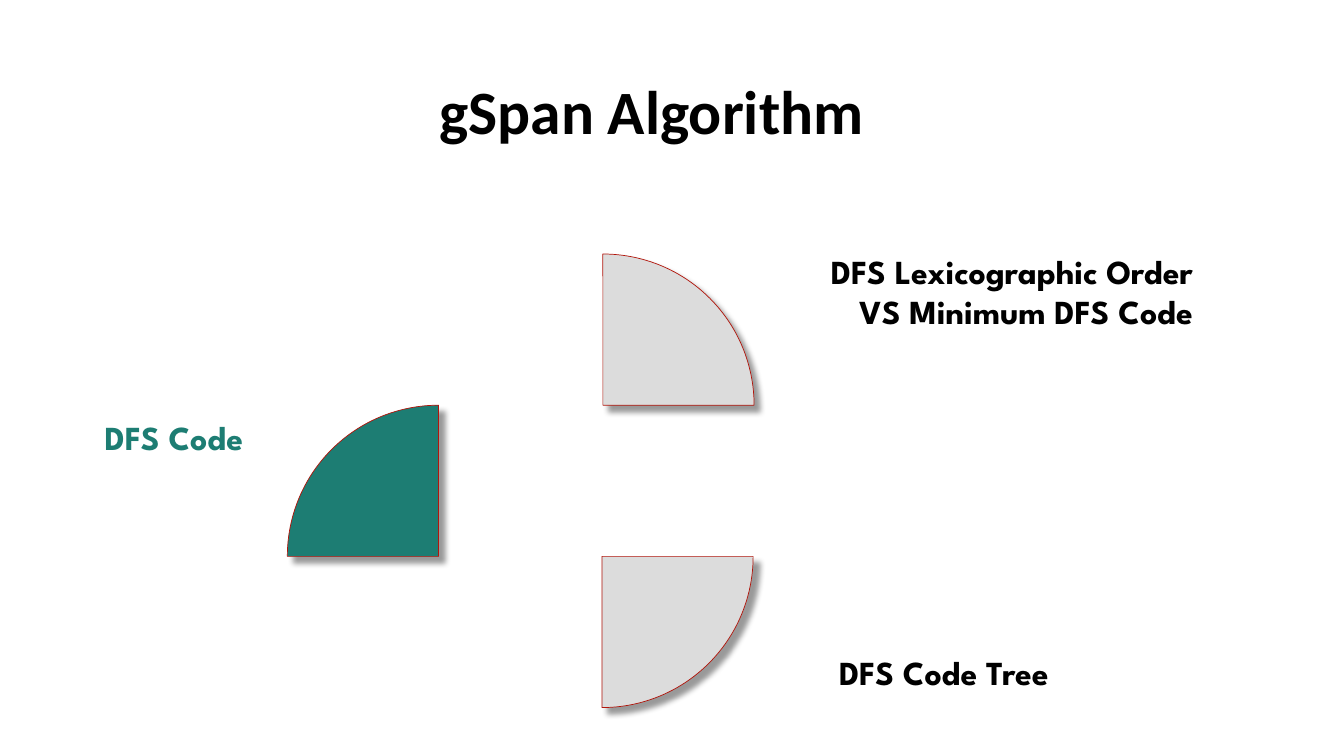
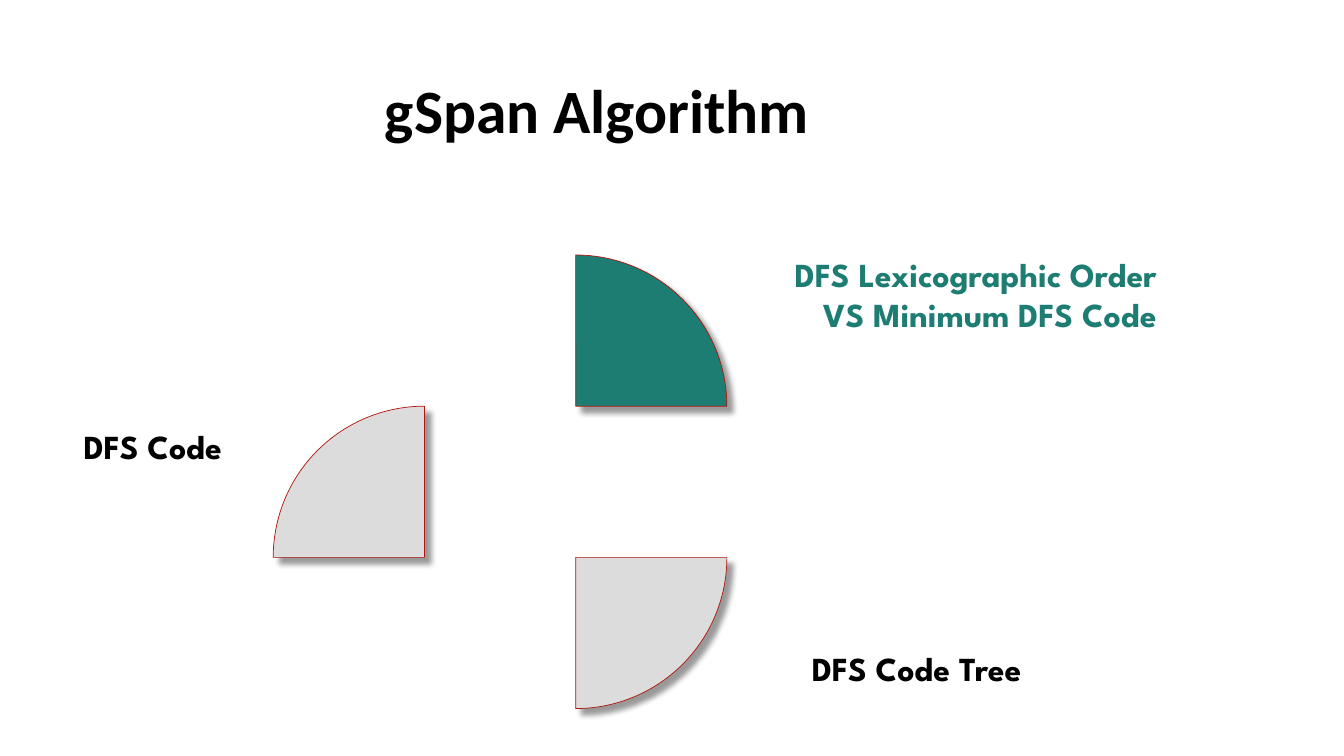
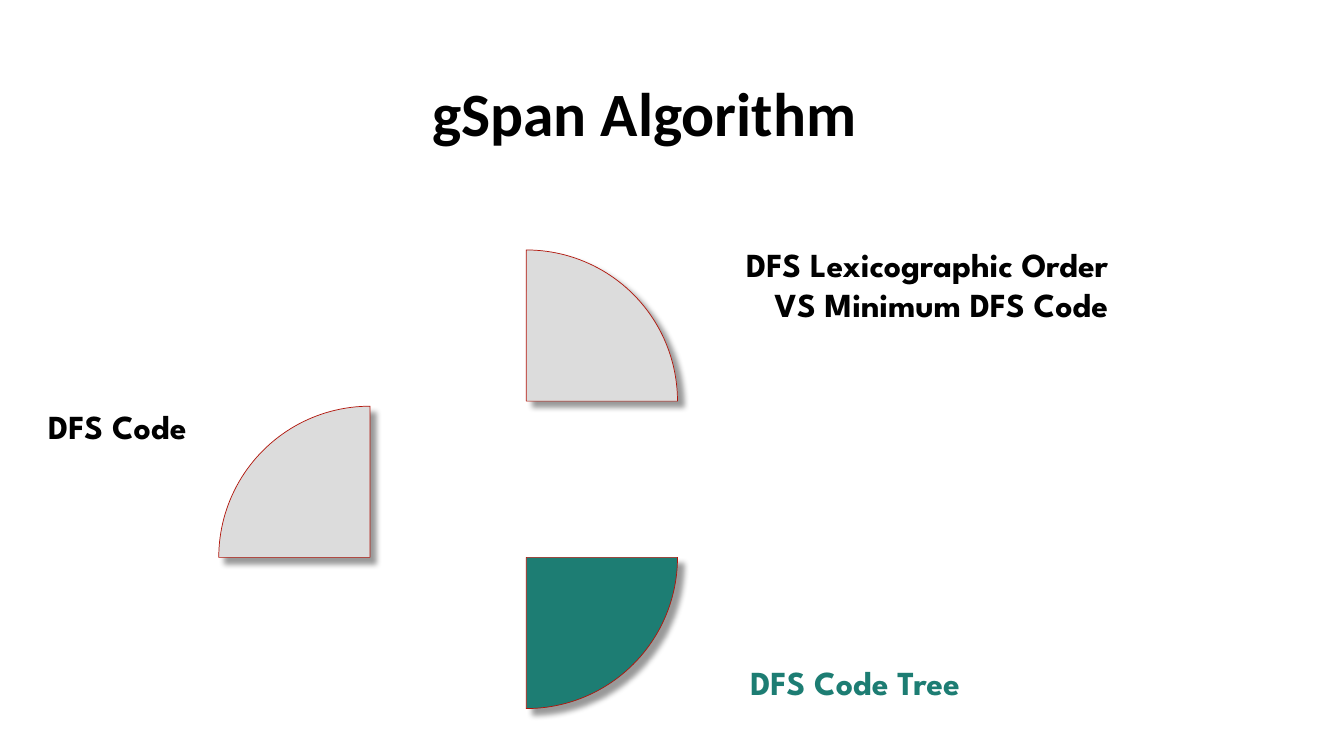
"""Build three gSpan Algorithm agenda slides, each marking one topic."""
from dataclasses import dataclass

from lxml.etree import SubElement
from pptx import Presentation
from pptx.dml.color import RGBColor
from pptx.enum.shapes import MSO_SHAPE
from pptx.enum.text import MSO_ANCHOR, MSO_AUTO_SIZE, PP_ALIGN
from pptx.oxml.ns import qn
from pptx.slide import Slide
from pptx.text.text import TextFrame
from pptx.util import Inches, Pt

HUES = {"mark": "1D7D73", "pie": "DCDCDC", "edge": "B1150B", "text": "000000"}
Point = tuple[float, float]
PIE = 3
TITLE = "gSpan Algorithm"
TITLE_SIZE = (4.45, 0.98)


@dataclass(frozen=True)
class Topic:
    text: str
    size: Point
    align: PP_ALIGN
    start: int
    end: int


@dataclass(frozen=True)
class Page:
    title: Point
    pies: tuple[Point, ...]
    labels: tuple[Point, ...]


TOPICS = (
    Topic("DFS Code", (1.78, 0.5), PP_ALIGN.LEFT, 180, 270),
    Topic("DFS Lexicographic Order\nVS Minimum DFS Code", (4.23, 0.91), PP_ALIGN.RIGHT, 270, 0),
    Topic("DFS Code Tree", (2.56, 0.5), PP_ALIGN.RIGHT, 0, 90),
)

PAGES = (
    Page((4.24, 0.45), ((2.85, 4.02), (4.48, 2.52), (4.47, 4.02)),
         ((0.94, 4.09), (7.7, 2.44), (7.94, 6.42))),
    Page((3.7, 0.44), ((2.71, 4.03), (4.21, 2.53), (4.21, 4.03)),
         ((0.73, 4.18), (7.34, 2.47), (7.67, 6.38))),
    Page((4.17, 0.47), ((2.17, 4.03), (3.72, 2.48), (3.72, 4.03)),
         ((0.38, 3.98), (6.86, 2.37), (7.06, 6.52))),
)


def color(name: str) -> RGBColor:
    return RGBColor.from_string(HUES[name])


def write(frame: TextFrame, text: str, font: str, size: int, hue: str, align: PP_ALIGN) -> None:
    frame.text = text
    frame.auto_size = MSO_AUTO_SIZE.SHAPE_TO_FIT_TEXT
    frame.vertical_anchor = MSO_ANCHOR.TOP
    for para in frame.paragraphs:
        para.alignment = align
        para.font.name = font
        para.font.size = Pt(size)
        para.font.bold = True
        para.font.color.rgb = color(hue)


def add_title(slide: Slide, spot: Point) -> None:
    title = slide.shapes.title
    title.left, title.top = map(Inches, spot)
    title.width, title.height = map(Inches, TITLE_SIZE)
    frame = title.text_frame
    write(frame, TITLE, "Calibri", 44, "text", PP_ALIGN.CENTER)
    frame.word_wrap = False
    para = frame.paragraphs[0]
    para.line_spacing = 1.3
    para.space_before = Pt(6)


def add_pie(slide: Slide, topic: Topic, spot: Point, hue: str) -> None:
    pie = slide.shapes.add_shape(MSO_SHAPE.PIE, *map(Inches, (*spot, PIE, PIE)))
    for index, angle in enumerate((topic.start, topic.end)):
        pie.adjustments[index] = angle * 0.6
    pie.fill.solid()
    pie.fill.fore_color.rgb = color(hue)
    pie.line.color.rgb = color("edge")
    pie.line.width = Pt(0.5)
    pie.shadow.inherit = False
    effects = pie.element.spPr.find(qn("a:effectLst"))
    shade = SubElement(effects, qn("a:outerShdw"), blurRad=str(Pt(4)), dist=str(Pt(6)),
                       dir=str(45 * 60000), algn="tl", rotWithShape="0")
    tone = SubElement(shade, qn("a:srgbClr"), val=HUES["text"])
    SubElement(tone, qn("a:alpha"), val="40000")


def add_label(slide: Slide, topic: Topic, spot: Point, hue: str) -> None:
    frame = slide.shapes.add_textbox(*map(Inches, (*spot, *topic.size))).text_frame
    write(frame, topic.text, "League Spartan", 24, hue, topic.align)
    frame.word_wrap = True


def main() -> None:
    deck = Presentation()
    deck.slide_width, deck.slide_height = Inches(13.33), Inches(7.5)
    for number, page in enumerate(PAGES):
        slide = deck.slides.add_slide(deck.slide_layouts.get_by_name("Title Only"))
        add_title(slide, page.title)
        for index, topic in enumerate(TOPICS):
            active = index == number
            add_pie(slide, topic, page.pies[index], "mark" if active else "pie")
            add_label(slide, topic, page.labels[index], "mark" if active else "text")
    deck.save("out.pptx")


if __name__ == "__main__":
    main()
